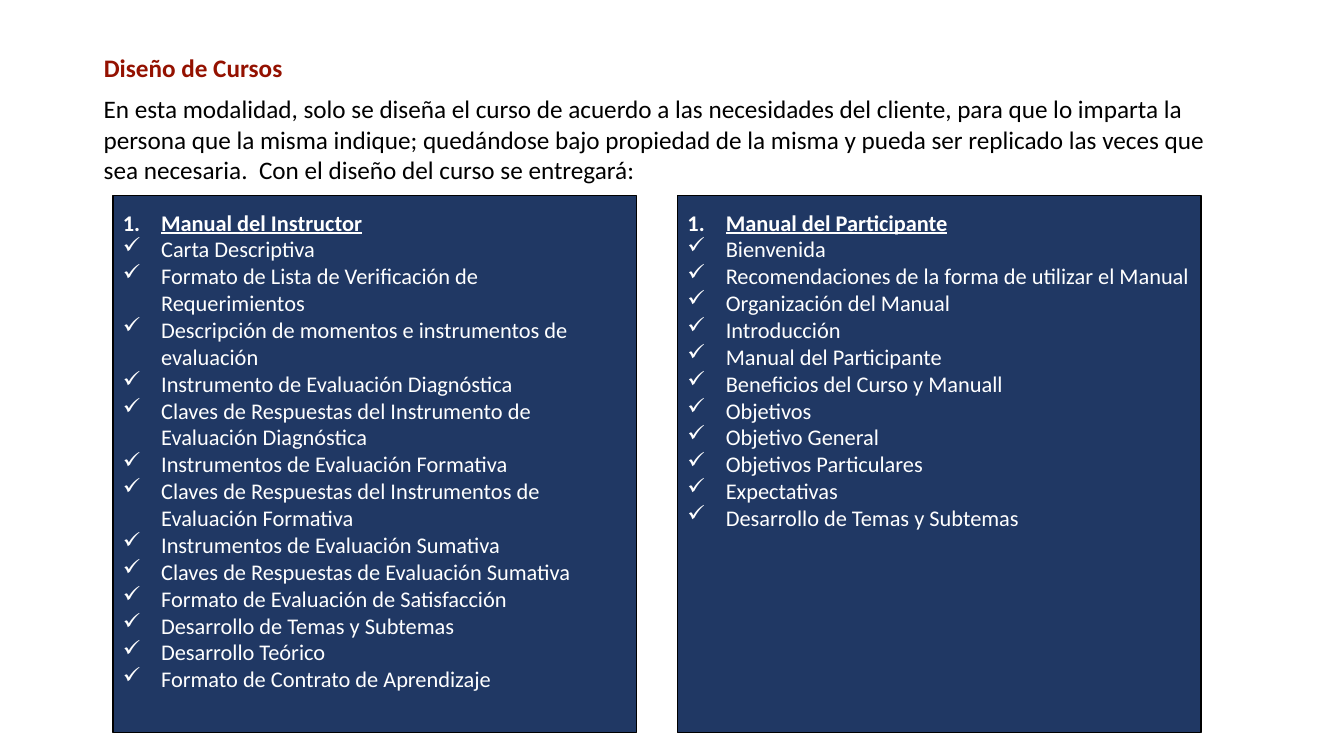
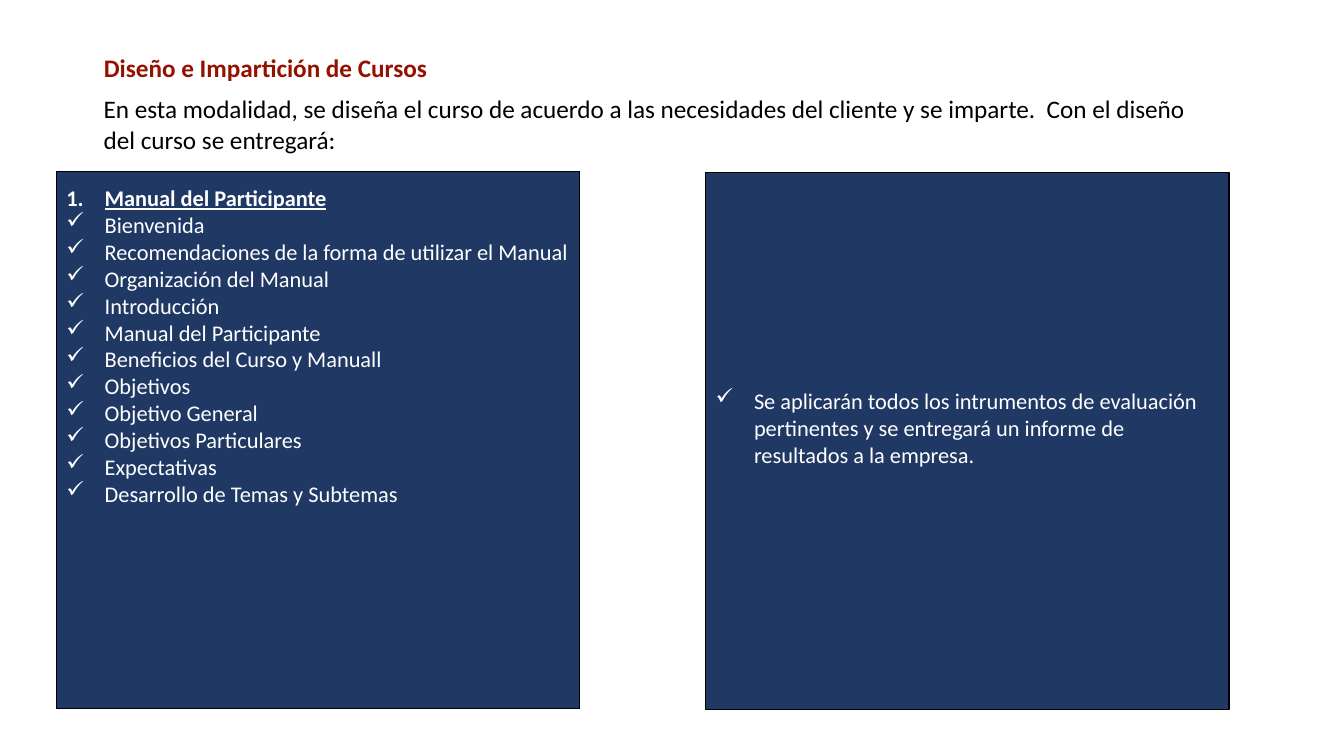
import pptx
import pptx.dml.color
import pptx.enum.shapes
import pptx.enum.text
import pptx.util
from lxml import etree
from pptx.oxml.ns import qn

Inches = pptx.util.Inches
RGBColor = pptx.dml.color.RGBColor
Anchor = pptx.enum.text.MSO_ANCHOR
Align = pptx.enum.text.PP_ALIGN

# Shared colours and text formats
RED = RGBColor(0x94, 0x11, 0x00)
NAVY = RGBColor(0x20, 0x38, 0x64)
BLACK = RGBColor(0, 0, 0)
WHITE = RGBColor(0xFF, 0xFF, 0xFF)

TITLE_FORMAT = {"size": 18, "bold": True, "color": RED}
INTRO_FORMAT = {"size": 18, "bold": False, "color": BLACK}
ITEM_FORMAT = {"size": 16, "bold": False, "underline": False, "color": WHITE}
HEADING_FORMAT = {**ITEM_FORMAT, "bold": True, "underline": True}

# Shared measures, in inches
TEXT_LEFT = 0.93
PANEL_WIDTH, PANEL_HEIGHT = 5.19, 5.33
INDENT = 0.38
LIST_FRAME = {"vertical_anchor": Anchor.TOP, "margin_top": Inches(0.13)}
NOTE_FRAME = {"vertical_anchor": Anchor.MIDDLE, "margin_bottom": Inches(0.32)}

INSTRUCTOR_ITEMS = [
    "Carta Descriptiva",
    "Formato de Lista de Verificación de Requerimientos",
    "Descripción de momentos e instrumentos de evaluación",
    "Instrumento de Evaluación Diagnóstica",
    "Claves de Respuestas del Instrumento de Evaluación Diagnóstica",
    "Instrumentos de Evaluación Formativa",
    "Claves de Respuestas del Instrumentos de Evaluación Formativa",
    "Instrumentos de Evaluación Sumativa",
    "Claves de Respuestas de Evaluación Sumativa",
    "Formato de Evaluación de Satisfacción",
    "Desarrollo de Temas y Subtemas",
    "Desarrollo Teórico",
    "Formato de Contrato de Aprendizaje",
]
PARTICIPANT_ITEMS = [
    "Bienvenida",
    "Recomendaciones de la forma de utilizar el Manual",
    "Organización del Manual",
    "Introducción",
    "Manual del Participante",
    "Beneficios del Curso y Manuall",
    "Objetivos",
    "Objetivo General",
    "Objetivos Particulares",
    "Expectativas",
    "Desarrollo de Temas y Subtemas",
]
INSTRUCTOR = ("Manual del Instructor", INSTRUCTOR_ITEMS, LIST_FRAME)
PARTICIPANT = ("Manual del Participante", PARTICIPANT_ITEMS, LIST_FRAME)
RESULTS = (None, [
    "Se aplicarán todos los intrumentos de evaluación pertinentes y se "
    "entregará un informe de resultados a la empresa.",
], NOTE_FRAME)

# Each panel: left, top, content
SLIDES = [
    {
        "title": "Diseño de Cursos",
        "intro": "En esta modalidad, solo se diseña el curso de acuerdo a las "
                 "necesidades del cliente, para que lo imparta la persona que "
                 "la misma indique; quedándose bajo propiedad de la misma y "
                 "pueda ser replicado las veces que sea necesaria.  Con el "
                 "diseño del curso se entregará:",
        "intro_height": 1.01,
        "panels": [(1.12, 1.94, INSTRUCTOR), (6.72, 1.94, PARTICIPANT)],
    },
    {
        "title": "Diseño e Impartición de Cursos",
        "intro": "En esta modalidad, se diseña el curso de acuerdo a las "
                 "necesidades del cliente y se imparte.  Con el diseño del "
                 "curso se entregará:",
        "intro_height": 0.71,
        "panels": [(0.56, 1.7, PARTICIPANT), (7, 1.71, RESULTS)],
    },
]


def set_attributes(target, values):
    for name, value in values.items():
        setattr(target, name, value)


def write(paragraph, text, text_format):
    """Add one formatted, left-aligned run to a paragraph."""
    paragraph.alignment = Align.LEFT
    run = paragraph.add_run()
    run.text = text
    values = dict(text_format)
    run.font.color.rgb = values.pop("color")
    values["size"] = pptx.util.Pt(values["size"])
    set_attributes(run.font, {"name": "Calibri", **values})


def add_bullet(paragraph, tag, **attributes):
    """Give a paragraph a hanging indent and a bullet or number."""
    properties = paragraph._p.get_or_add_pPr()
    properties.set("marL", str(Inches(INDENT)))
    properties.set("indent", str(-Inches(INDENT)))
    etree.SubElement(properties, qn(tag), attributes)


def add_title(slide, text, left, top, width, height):
    title = slide.shapes.title
    set_attributes(title, {"left": Inches(left), "top": Inches(top),
                           "width": Inches(width), "height": Inches(height)})
    set_attributes(title.text_frame, {
        "vertical_anchor": Anchor.TOP, "word_wrap": True,
        "auto_size": pptx.enum.text.MSO_AUTO_SIZE.NONE})
    write(title.text_frame.paragraphs[0], text, TITLE_FORMAT)


def add_intro(slide, text, left, top, width, height):
    box = slide.shapes.add_textbox(
        Inches(left), Inches(top), Inches(width), Inches(height))
    box.text_frame.word_wrap = True
    write(box.text_frame.paragraphs[0], text, INTRO_FORMAT)


def add_panel(slide, content, left, top, width, height):
    """Navy box with an optional numbered heading and a checklist."""
    heading, items, frame_format = content
    panel = slide.shapes.add_shape(
        pptx.enum.shapes.MSO_SHAPE.RECTANGLE,
        Inches(left), Inches(top), Inches(width), Inches(height))
    panel.shadow.inherit = False
    panel.fill.solid()
    panel.fill.fore_color.rgb = NAVY
    panel.line.color.rgb = BLACK
    panel.line.width = pptx.util.Pt(1)

    frame = panel.text_frame
    set_attributes(frame, {"word_wrap": True, **frame_format})
    paragraph = frame.paragraphs[0]
    if heading:
        write(paragraph, heading, HEADING_FORMAT)
        add_bullet(paragraph, "a:buAutoNum", type="arabicPeriod")
    for index, item in enumerate(items):
        if heading or index:
            paragraph = frame.add_paragraph()
        write(paragraph, item, ITEM_FORMAT)
        add_bullet(paragraph, "a:buChar", char="✓")


def add_course_slide(presentation, content):
    slide = presentation.slides.add_slide(presentation.slide_layouts[5])
    add_title(slide, content["title"], TEXT_LEFT, 0.47, 4.12, 0.4)
    add_intro(slide, content["intro"], TEXT_LEFT, 0.88, 11.26,
              content["intro_height"])
    for left, top, panel in content["panels"]:
        add_panel(slide, panel, left, top, PANEL_WIDTH, PANEL_HEIGHT)


def main():
    presentation = pptx.Presentation()
    presentation.slide_width = Inches(13.33)
    presentation.slide_height = Inches(7.5)
    for content in SLIDES:
        add_course_slide(presentation, content)
    presentation.save("out.pptx")


if __name__ == "__main__":
    main()
